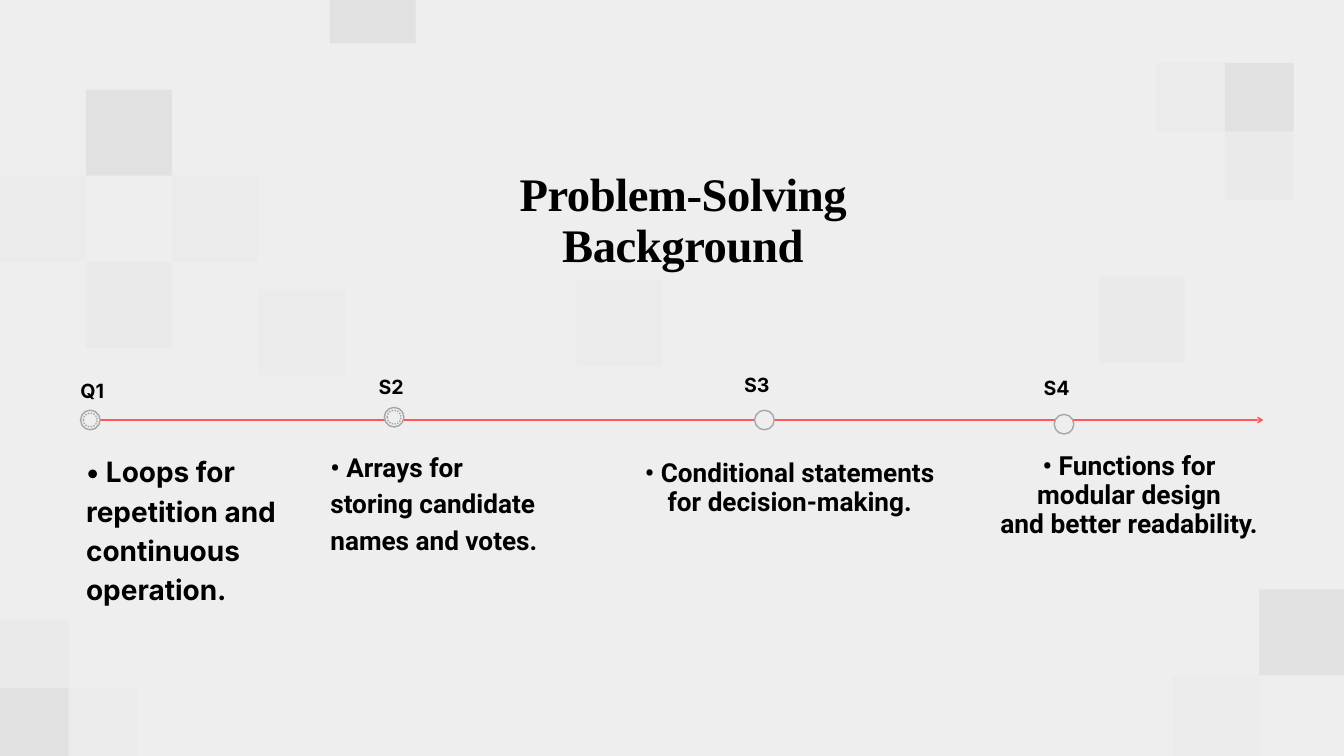
"""Build a four-step timeline slide on the background of a problem."""
import dataclasses

import lxml.etree
import pptx
import pptx.dml.color
import pptx.enum.dml
import pptx.enum.shapes
import pptx.enum.text
import pptx.oxml.ns
import pptx.util

PX = 9525
LEFT = pptx.enum.text.PP_ALIGN.LEFT
MID = pptx.enum.text.PP_ALIGN.CENTER


@dataclasses.dataclass(frozen=True)
class Theme:
    back: str = "EEEEEF"
    dark: str = "E1E1E2"
    pale: str = "EBEBEC"
    soft: str = "EAEAEB"
    ring: str = "A6A6A6"
    line: str = "FF5757"
    ink: str = "000000"
    serif: str = "Times New Roman"
    sans: str = "Inter"
    body: str = "Roboto"
    head: float = 50
    tag: float = 21
    large: float = 30
    note: float = 28
    last: float = 28.2
    stroke: float = 1.5


def tint(code):
    return pptx.dml.color.RGBColor.from_string(code)


class Board:
    def __init__(self, slide, theme):
        self.slide = slide
        self.theme = theme
        fill = slide.background.fill
        fill.solid()
        fill.fore_color.rgb = tint(theme.back)

    def shape(self, kind, left, top, size, color):
        item = self.slide.shapes.add_shape(
            kind, left * PX, top * PX, size * PX, size * PX)
        item.shadow.inherit = False
        item.fill.solid()
        item.fill.fore_color.rgb = tint(color)
        return item

    def tiles(self, left, top, size, cells):
        kind = pptx.enum.shapes.MSO_SHAPE.RECTANGLE
        for col, row, color in cells:
            tile = self.shape(kind, left + col * size, top + row * size, size, color)
            tile.line.fill.background()

    def ring(self, x, y, size, dash=None):
        kind = pptx.enum.shapes.MSO_SHAPE.OVAL
        oval = self.shape(kind, x - size // 2, y - size // 2, size, self.theme.back)
        oval.line.color.rgb = tint(self.theme.ring)
        oval.line.width = pptx.util.Pt(self.theme.stroke)
        if dash:
            oval.line.dash_style = dash

    def arrow(self, start, end, y):
        kind = pptx.enum.shapes.MSO_CONNECTOR.STRAIGHT
        link = self.slide.shapes.add_connector(kind, start * PX, y * PX, end * PX, y * PX)
        link.line.color.rgb = tint(self.theme.line)
        link.line.width = pptx.util.Pt(self.theme.stroke)
        name = pptx.oxml.ns.qn
        tip = lxml.etree.SubElement(link.line._get_or_add_ln(), name("a:tailEnd"))
        tip.set("type", "arrow")
        lxml.etree.SubElement(link._element.spPr, name("a:effectLst"))

    def text(self, box, lines, font, size, lead, align=LEFT, track=None):
        frame = self.slide.shapes.add_textbox(*(n * PX for n in box)).text_frame
        frame.word_wrap = True
        frame.margin_left = frame.margin_right = 0
        frame.margin_top = frame.margin_bottom = 0
        frame.text = "\n".join(lines)
        for para in frame.paragraphs:
            para.alignment = align
            para.line_spacing = pptx.util.Pt(lead)
            para.font.name = font
            para.font.size = pptx.util.Pt(size)
            para.font.bold = True
            para.font.color.rgb = tint(self.theme.ink)
            if track:
                for run in para.runs:
                    run.font._element.set("spc", str(track))


def main():
    deck = pptx.Presentation()
    deck.slide_width = 1920 * PX
    deck.slide_height = 1080 * PX
    look = Theme()
    board = Board(deck.slides.add_slide(deck.slide_layouts[6]), look)
    dark, pale, soft = look.dark, look.pale, look.soft

    groups = [
        (0, 885, 98, [(0, 1, dark), (1, 1, pale), (0, 0, soft)]),
        (1652, 90, 98, [(1, 0, dark), (0, 0, pale), (1, 1, soft)]),
        (0, 128, 123, [(1, 0, dark), (2, 1, pale), (1, 2, soft), (0, 1, pale)]),
        (1676, 842, 123, [(1, 0, dark), (0, 1, pale)]),
        (471, -61, 123, [(0, 0, dark)]),
        (824, 401, 123, [(0, 0, pale)]),
        (1570, 395, 123, [(0, 0, soft)]),
        (370, 413, 123, [(0, 0, pale)]),
    ]
    for group in groups:
        board.tiles(*group)

    board.text((617, 242, 717, 221), ["Problem-Solving Background"],
               look.serif, look.head, 55, MID, -50)
    board.arrow(129, 1805, 600)

    dot = pptx.enum.dml.MSO_LINE.ROUND_DOT
    steps = [
        ("Q1", 115, 535, 129, 600, True),
        ("S2", 541, 530, 563, 596, True),
        ("S3", 1063, 527, 1092, 600, False),
        ("S4", 1491, 531, 1520, 606, False),
    ]
    for tag, left, top, x, y, inner in steps:
        board.ring(x, y, 28)
        if inner:
            board.ring(x, y, 20, dot)
        board.text((left, top, 87, 38), [tag], look.sans, look.tag, 29.4)

    board.text((123, 642, 312, 335), ["• Loops for repetition and continuous operation."],
               look.sans, look.large, 42)
    board.text((472, 637, 312, 260), ["• Arrays for storing candidate names and votes."],
               look.body, look.note, 39.2)
    board.text((905, 656, 446, 84), ["• Conditional statements", "for decision-making."],
               look.body, look.note, 30.8, MID)
    board.text((1414, 645, 398, 168),
               ["• Functions for", "modular design", "and better readability."],
               look.body, look.last, 31, MID)
    deck.save("out.pptx")


if __name__ == "__main__":
    main()
